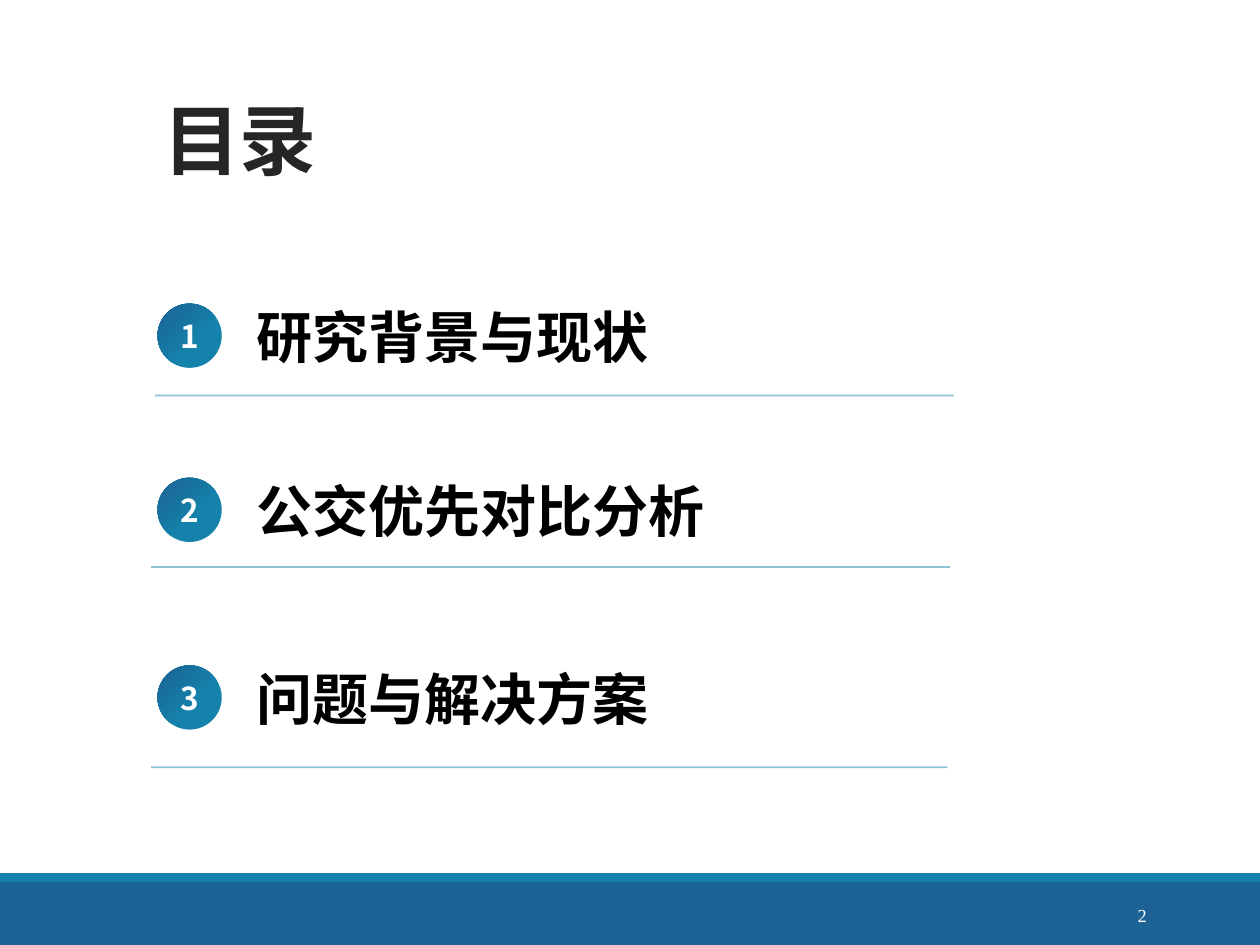
"""Build a contents slide with three numbered topics."""
from lxml.etree import SubElement
from pptx import Presentation
from pptx.dml.color import RGBColor as RGB
from pptx.enum.shapes import MSO_CONNECTOR as LINE, MSO_SHAPE as SHAPE
from pptx.enum.text import MSO_ANCHOR as ANCHOR, PP_ALIGN as ALIGN
from pptx.oxml.ns import qn
from pptx.util import Pt

HUES = {"navy": "1C6294", "teal": "1482AB", "dark": "262626",
        "black": "000000", "white": "FFFFFF"}
HUES = {name: RGB.from_string(code) for name, code in HUES.items()}
SANS = "Noto Sans CJK SC"

deck = Presentation()
deck.slide_width, deck.slide_height = Pt(720), Pt(540)
slide = deck.slides.add_slide(deck.slide_layouts[6])
shapes = slide.shapes


def write(shape, text, size, hue, font=SANS, bold=True, align=ALIGN.LEFT,
          anchor=ANCHOR.TOP, space=None):
    frame = shape.text_frame
    frame.word_wrap = True
    frame.vertical_anchor = anchor
    para = frame.paragraphs[0]
    para.alignment = align
    run = para.add_run()
    run.text = text
    run.font.size, run.font.bold, run.font.name = Pt(size), bold, font
    run.font.color.rgb = HUES[hue]
    props = run.font._element
    SubElement(props, qn("a:ea")).set("typeface", font)
    if space:
        props.set("spc", str(round(space * 100)))


for top, high, hue in ((504, 36, "navy"), (499, 5, "teal")):
    bar = shapes.add_shape(SHAPE.RECTANGLE, 0, Pt(top), Pt(720), Pt(high))
    bar.shadow.inherit = False
    bar.fill.solid()
    bar.fill.fore_color.rgb = HUES[hue]
    bar.line.fill.background()

title = shapes.add_textbox(Pt(86.4), Pt(45.4), Pt(160.6), Pt(64))
write(title, "目录", 44, "dark", anchor=ANCHOR.BOTTOM, space=-0.5)

topics = (
    ("研究背景与现状", 173.5, 244, 88.6, 545, 226),
    ("公交优先对比分析", 273, 338, 86.4, 543, 324),
    ("问题与解决方案", 380.2, 362, 86.4, 541.4, 438.5),
)
for num, (text, top, wide, left, right, base) in enumerate(topics, 1):
    dot = shapes.add_shape(SHAPE.OVAL, Pt(90), Pt(top), Pt(36.7), Pt(36.7))
    dot.shadow.inherit = False
    dot.line.fill.background()
    dot.fill.gradient()
    for stop, hue, place in zip(dot.fill.gradient_stops, ("navy", "teal"), (0, 0.61)):
        stop.color.rgb, stop.position = HUES[hue], place
    grad = dot._element.spPr.find(qn("a:gradFill"))
    grad.remove(grad.find(qn("a:lin")))
    ring = SubElement(grad, qn("a:path"), {"path": "circle"})
    SubElement(ring, qn("a:fillToRect"), {"r": "100000", "b": "100000"})
    write(dot, str(num), 18, "white", align=ALIGN.CENTER, anchor=ANCHOR.MIDDLE)

    label = shapes.add_textbox(Pt(139.7), Pt(top - 4), Pt(wide), Pt(46))
    write(label, text, 32, "black")

    rule = shapes.add_connector(LINE.STRAIGHT, Pt(left), Pt(base), Pt(right), Pt(base))
    rule.line.width = Pt(1)
    rule.line.color.rgb = HUES["teal"]
    props = rule._element.spPr
    tint = props.find(".//" + qn("a:srgbClr"))
    SubElement(tint, qn("a:alpha")).set("val", "48000")
    SubElement(props, qn("a:effectLst"))

page = shapes.add_textbox(Pt(584.6), Pt(508.3), Pt(77.8), Pt(28.8))
write(page, "2", 10.5, "white", font="Times New Roman", bold=False,
      align=ALIGN.RIGHT, anchor=ANCHOR.MIDDLE)

deck.save("out.pptx")
